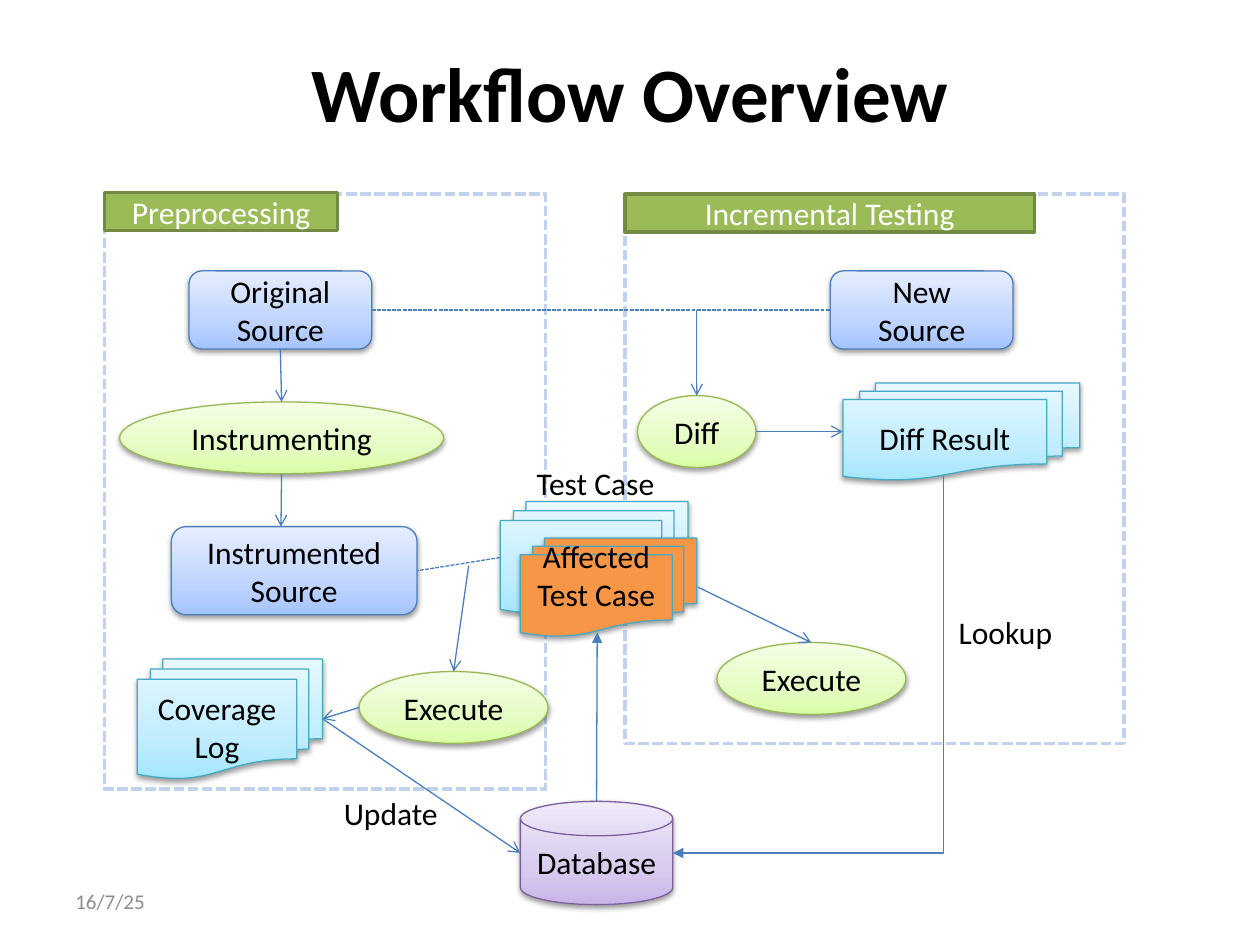
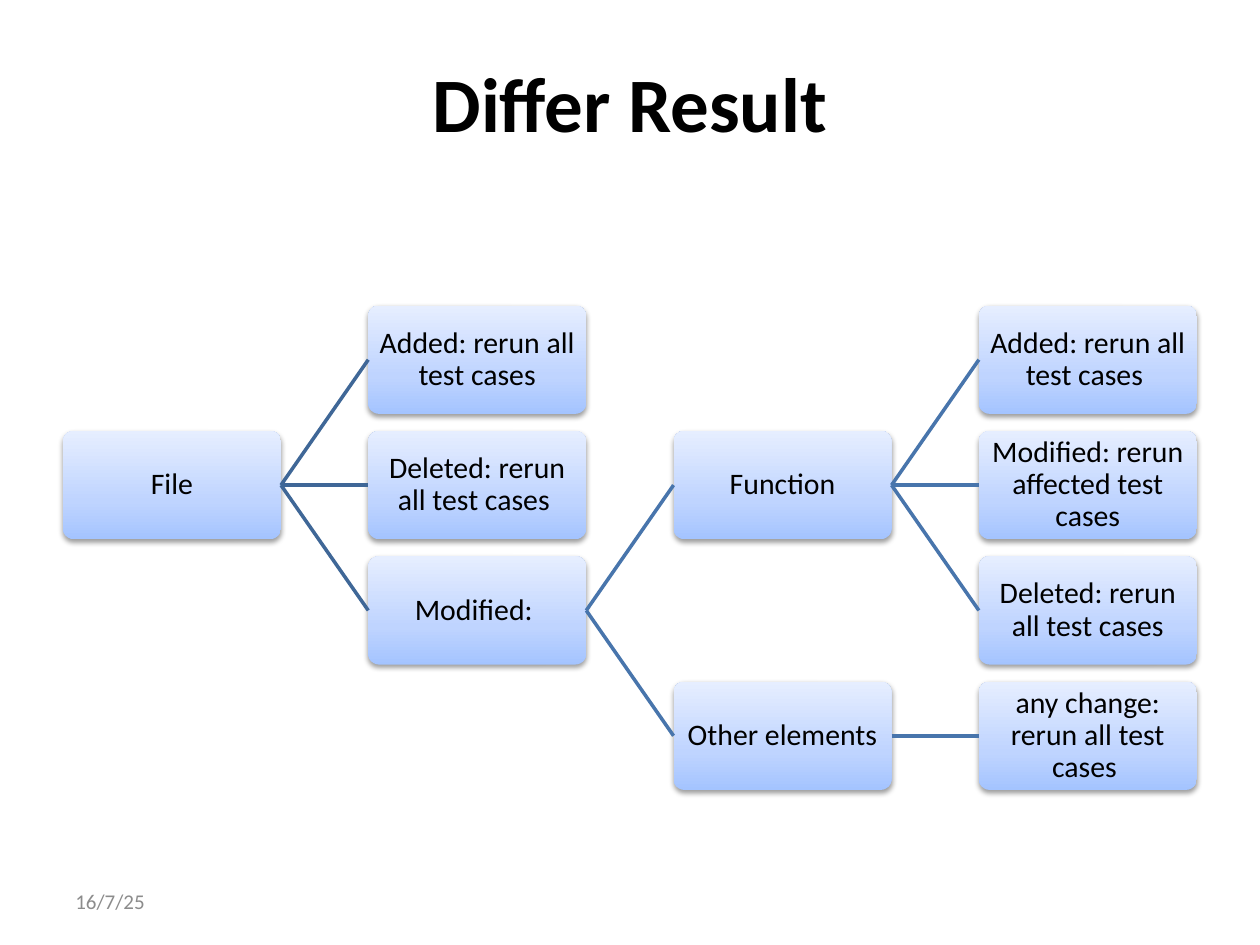
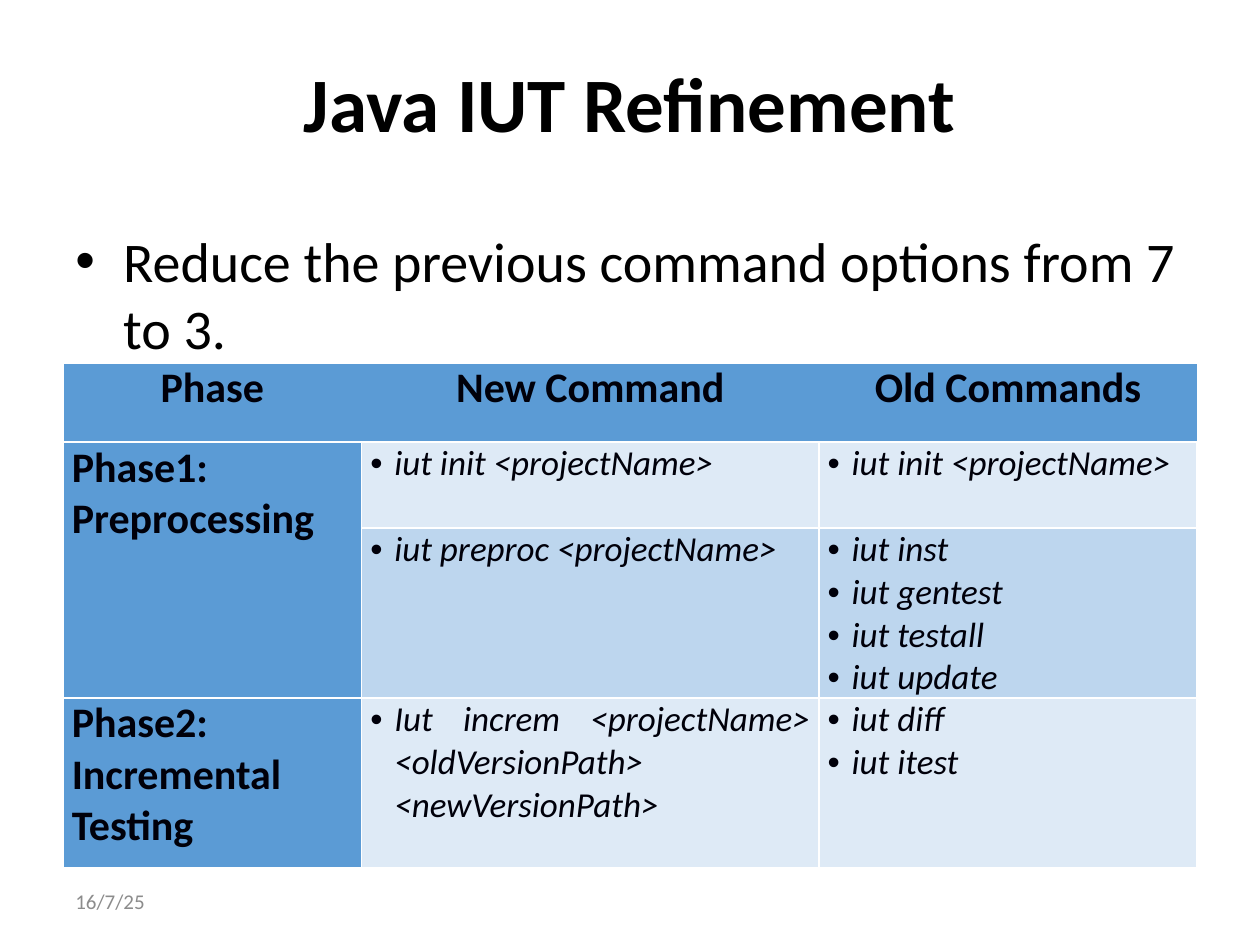
import copy

from lxml import etree
from pptx import Presentation
from pptx import util as u
from pptx.dml.color import RGBColor
from pptx.enum import dml, shapes, text
from pptx.oxml.ns import qn

SHAPE = shapes.MSO_SHAPE
ALIGN = text.PP_ALIGN
MIDDLE, TOP = text.MSO_ANCHOR.MIDDLE, text.MSO_ANCHOR.TOP

# Gradient stops run from the bottom of a shape to its top
BLUE = ("A4C4FF", "BFD4FF", "E6EEFF")
GREEN = ("DAFDA7", "E4FCC2", "F5FFE7")
CYAN = ("A7E6FF", "C1EDFF", "E7F8FF")
PURPLE = ("C9B5E8", "D8CBEE", "F0EAF9")
BLUE_LINE, GREEN_LINE, CYAN_LINE, PURPLE_LINE = "4B7EBC", "98B955", "46AAC5", "7D60A0"


def rgb(value):
    return RGBColor.from_string(value)


def child(parent, tag, **attrs):
    return etree.SubElement(parent, qn(tag), {k: str(v) for k, v in attrs.items()})


def spot(sp, fx, fy):
    """Grid point at a share of a shape's width and height."""
    return (sp.left + fx * sp.width) / Deck.CELL, (sp.top + fy * sp.height) / Deck.CELL


class Deck:
    """Slides on a grid of 100 columns by 75 rows."""

    CELL = u.Inches(0.1)
    FONT = "Calibri"

    def __init__(self):
        self.prs = Presentation()
        self.prs.slide_width, self.prs.slide_height = self.grid(100, 75)
        self.s = None

    def grid(self, *cells):
        return [u.Emu(round(c * self.CELL)) for c in cells]

    def slide(self, title, title_rows=10.1):
        self.s = self.prs.slides.add_slide(self.prs.slide_layouts[6])
        self.label((5, 3, 90, title_rows), title, 44, bold=True, align=ALIGN.CENTER, anchor=MIDDLE)
        self.label((5, 69.5, 23.3, 4), "16/7/25", 12, color="8C8C8C", anchor=MIDDLE)

    # Text
    def add_lines(self, tf, words, size=18, color="000000", bold=False, italic=False,
                  align=ALIGN.LEFT, bullet=0, before=None, after=None, spacing=None):
        for i, line in enumerate(words.split("\n")):
            p = tf.paragraphs[0] if i == 0 else tf.add_paragraph()
            p.alignment, p.line_spacing = align, spacing
            p.space_before, p.space_after = before, after
            if bullet:
                indent = self.grid(bullet)[0]
                pPr = p._p.get_or_add_pPr()
                pPr.set("marL", str(indent))
                pPr.set("indent", str(-indent))
                child(pPr, "a:buFont", typeface="Arial")
                child(pPr, "a:buChar", char="•")
            r = p.add_run()
            r.text = line
            r.font.name, r.font.size = self.FONT, u.Pt(size)
            r.font.bold, r.font.italic = bold, italic
            r.font.color.rgb = rgb(color)

    def label(self, box, words, size=18, wrap=True, anchor=TOP, **style):
        tf = self.s.shapes.add_textbox(*self.grid(*box)).text_frame
        tf.word_wrap, tf.vertical_anchor = wrap, anchor
        if not wrap:
            tf.auto_size = text.MSO_AUTO_SIZE.SHAPE_TO_FIT_TEXT
        self.add_lines(tf, words, size, **style)

    # Shapes
    def shape(self, kind, box, words="", fill=None, line=None, width=0.75,
              dashed=False, shadow=True, **style):
        sp = self.s.shapes.add_shape(kind, *self.grid(*box))
        sp.shadow.inherit = False
        if shadow:
            self.cast_shadow(sp)
        if isinstance(fill, tuple):
            self.shade(sp, fill)
        elif fill:
            sp.fill.solid()
            sp.fill.fore_color.rgb = rgb(fill)
        else:
            sp.fill.background()
        if line:
            self.stroke(sp.line, line, width, dashed)
        else:
            sp.line.fill.background()
        if words:
            sp.text_frame.word_wrap = True
            sp.text_frame.vertical_anchor = MIDDLE
            self.add_lines(sp.text_frame, words, align=ALIGN.CENTER, **style)
        return sp

    def cast_shadow(self, sp):
        effects = sp._element.spPr.find(qn("a:effectLst"))
        shadow = child(effects, "a:outerShdw", blurRad=40000, dist=20000, dir=5400000, rotWithShape=0)
        child(child(shadow, "a:srgbClr", val="000000"), "a:alpha", val=38000)

    def shade(self, sp, colors):
        sp.fill.gradient()
        sp.fill.gradient_angle = 90
        stops = sp._element.spPr.find(".//" + qn("a:gsLst"))
        stops.insert(1, copy.deepcopy(stops[0]))
        for stop, place, color in zip(sp.fill.gradient_stops, (0, 0.35, 1), colors):
            stop.position = place
            stop.color.rgb = rgb(color)

    def stroke(self, line, color, width, dashed=False):
        line.color.rgb = rgb(color)
        line.width = u.Pt(width)
        if dashed:
            line.dash_style = dml.MSO_LINE.SQUARE_DOT

    # Lines
    def link(self, start, end, head="arrow", color=BLUE_LINE, width=0.75, dashed=False):
        cn = self.s.shapes.add_connector(shapes.MSO_CONNECTOR.STRAIGHT, *self.grid(*start, *end))
        self.stroke(cn.line, color, width, dashed)
        child(cn._element.spPr, "a:effectLst")
        if head:
            child(cn._element.spPr.find(qn("a:ln")), "a:tailEnd", type=head)
        return cn

    def elbow(self, start, end, head):
        """Go down from start, then left to end: a one-bend connector turned by 90 degrees."""
        (x1, y1), (x2, y2) = start, end
        mid_x, mid_y = (x1 + x2) / 2, (y1 + y2) / 2
        half_w, half_h = (y2 - y1) / 2, (x1 - x2) / 2
        cn = self.link((mid_x - half_w, mid_y - half_h), (mid_x + half_w, mid_y + half_h), head)
        cn._element.spPr.find(qn("a:prstGeom")).set("prst", "bentConnector2")
        cn._element.spPr.find(qn("a:xfrm")).set("rot", "5400000")

    # Table
    def table(self, box, columns, rows):
        tb = self.s.shapes.add_table(len(rows), len(columns), *self.grid(*box)).table
        tb.first_row = tb.horz_banding = False
        for column, width in zip(tb.columns, self.grid(*columns)):
            column.width = width
        for row, height in zip(tb.rows, self.grid(*rows)):
            row.height = height
        return tb

    def cell(self, cell, words, fill, sides="LRTB", **style):
        cell.margin_left = cell.margin_right = self.grid(0.7)[0]
        cell.margin_top = cell.margin_bottom = 0
        cell.fill.solid()
        cell.fill.fore_color.rgb = rgb(fill)
        tcPr = cell._tc.get_or_add_tcPr()
        for i, side in enumerate("LRTB"):
            ln = child(tcPr, "a:ln" + side, w=u.Pt(1))
            tcPr.insert(i, ln)
            if side in sides:
                child(child(ln, "a:solidFill"), "a:srgbClr", val="FFFFFF")
            else:
                child(ln, "a:noFill")
        if words:
            self.add_lines(cell.text_frame, words, color="00000A", **style)


def workflow(d):
    d.slide("Workflow Overview", 8.5)

    # Phase frames and their banners
    for frame, banner, words in (
        ((49.6, 15.4, 39.6, 43.6), (49.6, 15.4, 32.5, 3), "Incremental Testing"),
        ((8.3, 15.4, 35, 47.2), (8.3, 15.3, 18.5, 3), "Preprocessing"),
    ):
        d.shape(SHAPE.RECTANGLE, frame, line="C2D1ED", width=2, dashed=True, shadow=False)
        d.shape(SHAPE.RECTANGLE, banner, words, "9BBB59", "738A42", 2, shadow=False, color="FFFFFF")

    def source(box, words):
        return d.shape(SHAPE.ROUNDED_RECTANGLE, box, words, BLUE, BLUE_LINE)

    def step(box, words):
        return d.shape(SHAPE.OVAL, box, words, GREEN, GREEN_LINE)

    def papers(box, words="", fill=CYAN):
        return d.shape(SHAPE.FLOWCHART_MULTIDOCUMENT, box, words, fill, CYAN_LINE)

    # Sources, steps and documents
    original = source((15, 21.5, 14.5, 6.2), "Original Source")
    instrumented = source((13.6, 41.8, 19.5, 7), "Instrumented\nSource")
    new = source((65.9, 21.5, 14.5, 6.2), "New\nSource")
    instrumenting = step((9.5, 31.9, 25.7, 5.7), "Instrumenting")
    run_all = step((28.5, 53.3, 15, 5.7), "Execute")
    diff = step((50.6, 31.4, 9.4, 5.7), "Diff")
    run_affected = step((56.9, 51, 15, 5.7), "Execute")
    cases = papers((39.7, 39.8, 14.9, 8.9))
    log = papers((10.9, 52.3, 14.7, 9.5), "Coverage\nLog")
    result = papers((66.9, 30.4, 18.8, 7.7), "Diff Result")
    d.label((41.6, 36.3, 11.5, 4), "Test Case", wrap=False)
    affected = papers((41.3, 42.7, 14, 7.8), "Affected Test Case", "F79646")
    affected.text_frame.margin_bottom = d.grid(3.5)[0]
    database = d.shape(SHAPE.FLOWCHART_MAGNETIC_DISK, (41.3, 63.6, 12.1, 8.2), "Database",
                       PURPLE, PURPLE_LINE)

    # Dashed pairings, each feeding a step
    d.link(spot(original, 1, 0.5), spot(new, 0, 0.5), None, dashed=True)
    d.link(spot(cases, 0, 0.5), spot(instrumented, 1, 0.5), None, dashed=True)
    d.link((55.3, 24.6), spot(diff, 0.5, 0))
    d.link((37.2, 44.9), spot(run_all, 0.5, 0))

    # Flow
    for start, end in (
        (spot(original, 0.5, 1), spot(instrumenting, 0.5, 0)),
        (spot(instrumenting, 0.5, 1), (22.3, 41.8)),
        (spot(run_all, 0, 0.5), spot(log, 1, 0.5)),
        (spot(log, 1, 0.5), spot(database, 0, 0.5)),
        (spot(diff, 1, 0.5), spot(result, 0, 0.5)),
        ((55.4, 46.6), spot(run_affected, 0.5, 0)),
    ):
        d.link(start, end)
    d.elbow((74.9, 37.8), spot(database, 1, 0.5), "triangle")
    d.link(spot(database, 0.5, 0), (47.4, 50.2), "triangle")
    d.label((26.3, 62.5, 9.8, 3.5), "Update", wrap=False)
    d.label((75.1, 48.2, 9.5, 4), "Lookup", wrap=False)


def differ_result(d):
    d.slide("Differ Result")

    def node(column, row, words):
        box = (5 + 24.23 * column, 24.25 + 9.95 * row, 17.3, 8.6)
        sp = d.shape(SHAPE.ROUNDED_RECTANGLE, box, words, BLUE, size=17, spacing=0.9, after=u.Pt(6))
        sp.adjustments[0] = 0.1
        tf = sp.text_frame
        tf.margin_left = tf.margin_right = tf.margin_top = tf.margin_bottom = d.grid(0.1)[0]
        return sp

    def branch(parent, children, color="4875AC"):
        for sp in children:
            d.link(spot(parent, 1, 0.5), spot(sp, 0, 0.5), None, color, 2)

    # Each column holds its nodes by row
    columns = (
        {1: "File"},
        {0: "Added: rerun all test cases", 1: "Deleted: rerun all test cases ", 2: "Modified: "},
        {1: "Function", 3: "Other elements"},
        {0: "Added: rerun all test cases ", 1: "Modified: rerun affected test cases",
         2: "Deleted: rerun all test cases", 3: "any change: rerun all test cases "},
    )
    (file,), changes, (function, other), actions = (
        [node(c, row, words) for row, words in nodes.items()] for c, nodes in enumerate(columns))
    branch(file, changes, "3F6797")
    branch(changes[2], (function, other))
    branch(function, actions[:3])
    branch(other, actions[3:])


def refinement(d):
    d.slide("Java IUT Refinement")
    d.label((5, 17.5, 90, 49.5), "Reduce the previous command options from 7 to 3.", 32,
            bullet=3.8, before=u.Pt(6.4))

    tb = d.table((5, 28.8, 90, 40.2), (23.7, 36.3, 30), (6.3, 6.8, 13.5, 13.5))
    accent, light, dark = "5B9BD5", "DEEAF6", "BDD6EE"

    # Header row
    for c, words in enumerate(("Phase", "New Command", "Old Commands")):
        d.cell(tb.cell(0, c), words, accent, "TB" if c else "LTB",
               size=24, bold=True, align=ALIGN.CENTER)

    # Phases with their commands
    commands = (
        ("Phase1: \nPreprocessing", light, "iut init <projectName>", "iut init <projectName>"),
        ("", dark, "iut preproc <projectName>", "iut inst\niut gentest\niut testall\niut update"),
        ("Phase2:\nIncremental Testing", light,
         "Iut increm <projectName> <oldVersionPath> <newVersionPath>", "iut diff\niut itest"),
    )
    for row, (phase, fill, *pair) in enumerate(commands, 1):
        d.cell(tb.cell(row, 0), phase, accent, size=24, bold=True, align=ALIGN.JUSTIFY)
        for c, words in enumerate(pair, 1):
            d.cell(tb.cell(row, c), words, fill, size=20, italic=True, align=ALIGN.JUSTIFY, bullet=1.9)
    tb.cell(1, 0).merge(tb.cell(2, 0))


def main():
    d = Deck()
    workflow(d)
    differ_result(d)
    refinement(d)
    d.prs.save("out.pptx")


if __name__ == "__main__":
    main()
